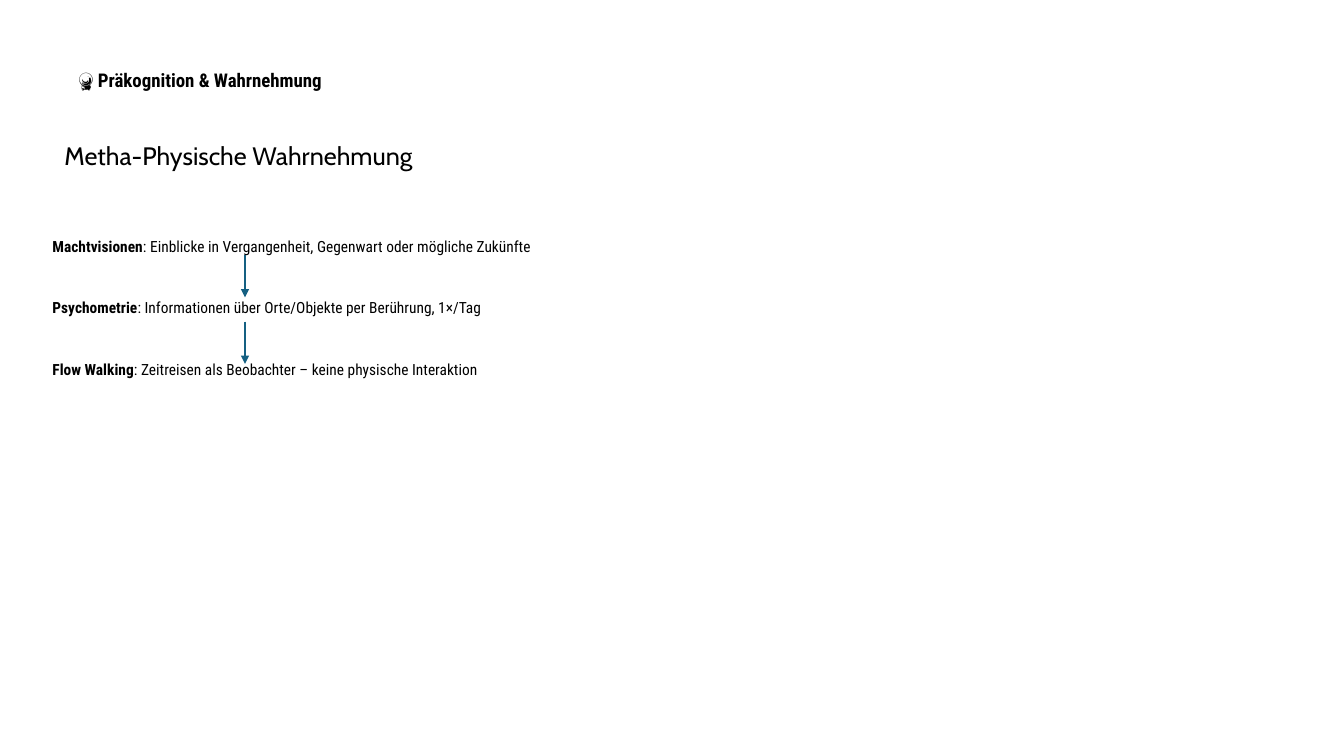
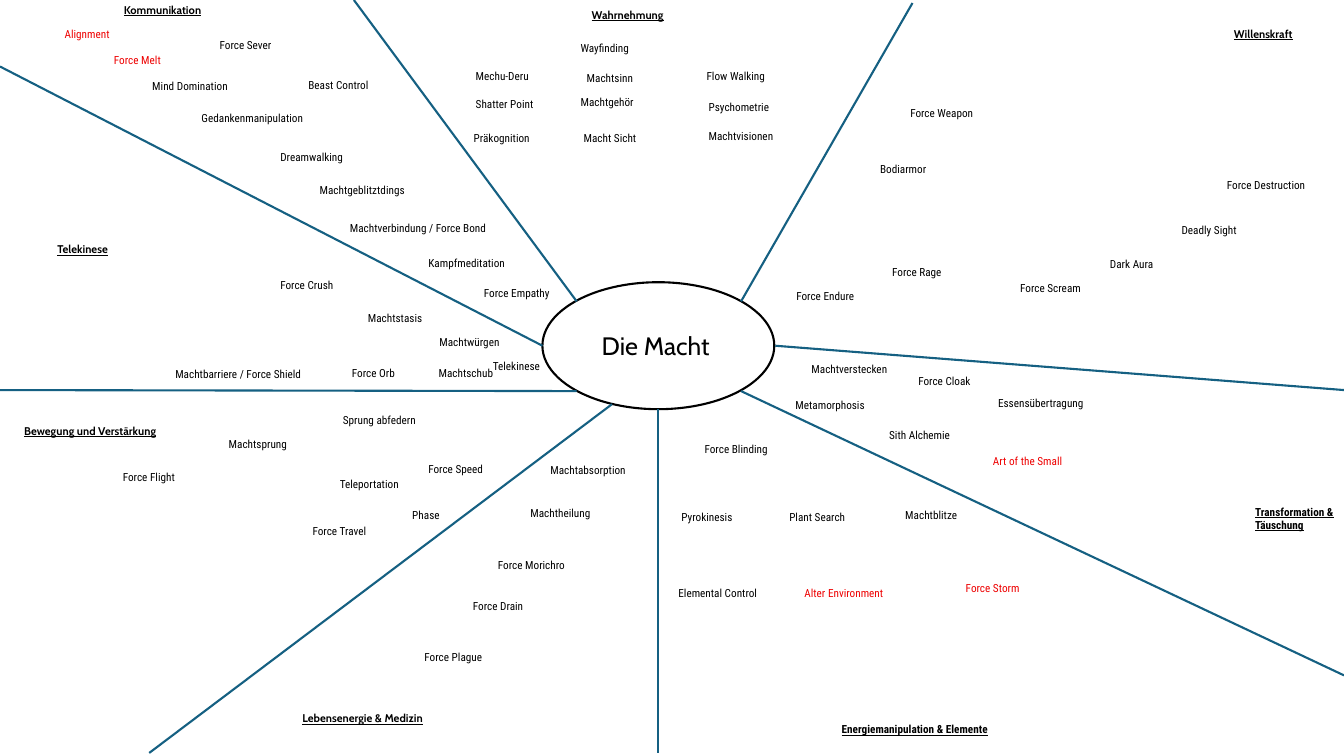
from lxml.etree import SubElement
from pptx import Presentation
from pptx.dml.color import RGBColor
from pptx.enum.shapes import MSO_CONNECTOR, MSO_SHAPE
from pptx.enum.text import MSO_ANCHOR, MSO_AUTO_SIZE
from pptx.oxml.ns import qn
from pptx.util import Emu, Pt

PX = 9144  # 100 px to the inch
COLORS = {"text": "000000", "accent": "156082", "red": "EE0000"}
NO_GRID_STYLE = "{2D5ABB26-0587-4C30-8999-92F81FD0307C}"

# Text formats
TITLE = {"name": "Cabin", "size": 18}
SECTION = {"name": "Cabin", "size": 8, "bold": True, "underline": True}
SECTION_NARROW = {**SECTION, "name": "Roboto Condensed"}
LABEL = {"name": "Roboto Condensed", "size": 8}
RED_LABEL = {**LABEL, "color": "red"}
BODY = {"name": "Roboto Condensed", "size": 11}
STRONG = {**BODY, "bold": True}
HEADING = {**STRONG, "size": 13.5}
HEADING_ICON = {**HEADING, "name": "Roboto"}

# Slide 1: powers of perception with column widths and row heights
PERCEPTION = [
    ("Machtvisionen", "Einblicke in Vergangenheit, Gegenwart oder mögliche Zukünfte", [835], [20]),
    ("Psychometrie", "Informationen über Orte/Objekte per Berührung, 1×/Tag", [158, 677], [20, 22]),
    ("Flow Walking", "Zeitreisen als Beobachter – keine physische Interaktion", [835], [20]),
]
POWER_TOP, POWER_STEP = 233, 61
ARROW_X, ARROW_TOP, ARROW_STEP, ARROW_LENGTH = 243, 253, 66, 42

# Slide 2: headings and boxes are (text, x, y, width);
# cells are (text, x, y, column widths, row heights)
SECTORS = [
    {"heading": ("Wahrnehmung", 577, 3, 260),
     "boxes": [("Präkognition", 460, 125, 176), ("Shatter Point", 462, 92, 175),
               ("Mechu-Deru", 462, 64, 107), ("Macht Sicht", 569, 125, 156),
               ("Machtgehör", 566, 90, 141), ("Machtsinn", 572, 66, 119),
               ("Wayfinding", 566, 36, 94), ("Machtvisionen", 693, 123, 173),
               ("Psychometrie", 693, 95, 103), ("Flow Walking", 691, 64, 106)]},
    {"heading": ("Kommunikation", 113, -2, 204),
     "boxes": [("Gedankenmanipulation", 190, 106, 173), ("Kampfmeditation", 415, 249, 133),
               ("Force Sever", 208, 33, 81), ("Beast Control", 296, 73, 129)],
     "cells": [("Machtverbindung / Force Bond", 327, 218, [165], [15]),
               ("Machtgeblitztdings", 297, 179, [111], [18]),
               ("Mind Domination", 131, 75, [134], [20]),
               ("Dreamwalking", 258, 145, [117], [20]),
               ("Force Empathy", 460, 280, [129], [20]),
               ("Force Melt", 93, 49, [95], [20]), ("Alignment", 44, 23, [87], [20])]},
    {"heading": ("Telekinese", 47, 236, 197),
     "boxes": [("Machtwürgen", 426, 328, 83), ("Machtbarriere / Force Shield", 164, 360, 154),
               ("Machtstasis", 355, 304, 83), ("Telekinese", 479, 352, 70)],
     "cells": [("Machtschub", 415, 360, [84], [20]), ("Force Crush", 258, 272, [95], [20]),
               ("Force Orb", 329, 362, [70], [15])]},
    {"heading": ("Bewegung und Verstärkung", 14, 416, 235),
     "boxes": [("Phase", 399, 499, 92), ("Force Flight", 112, 462, 146),
               ("Machtsprung", 217, 429, 173), ("Force Speed", 415, 454, 210)],
     "cells": [("Teleportation", 317, 470, [117], [20]), ("Force Travel", 290, 516, [90], [21]),
               ("Sprung abfedern", 320, 409, [130], [15])]},
    {"heading": ("Lebensenergie & Medizin", 290, 701, 181),
     "boxes": [("Force Morichro", 484, 549, 130), ("Machtabsorption", 536, 455, 133)],
     "cells": [("Machtheilung", 506, 501, [115, 12], [15, 21]),
               ("Force Plague", 401, 641, [107], [20]), ("Force Drain", 449, 591, [86], [20])]},
    {"heading": ("Willenskraft", 1214, 22, 151),
     "boxes": [("Force Endure", 780, 282, 87), ("Force Rage", 875, 258, 97),
               ("Bodiarmor", 863, 156, 83), ("Force Weapon", 893, 101, 110),
               ("Force Scream", 1002, 274, 110), ("Dark Aura", 1091, 250, 75),
               ("Deadly Sight", 1162, 217, 105), ("Force Destruction", 1207, 172, 136)]},
    {"heading": ("Transformation & Täuschung", 1235, 496, 99), "format": SECTION_NARROW,
     "boxes": [("Machtverstecken", 795, 355, 136), ("Force Cloak", 901, 366, 97),
               ("Essensübertragung", 980, 388, 108), ("Metamorphosis", 779, 390, 99),
               ("Sith Alchemie", 872, 420, 102), ("Art of the Small", 975, 446, 91)]},
    {"heading": ("Energiemanipulation & Elemente", 825, 712, 237), "format": SECTION_NARROW,
     "boxes": [("Force Blinding", 689, 434, 103), ("Pyrokinesis", 666, 501, 83),
               ("Elemental Control", 663, 577, 110), ("Plant Search", 773, 501, 97),
               ("Alter Environment", 788, 577, 104), ("Machtblitze", 888, 499, 108),
               ("Force Storm", 948, 572, 75)]},
]
RED_NAMES = {"Force Melt", "Alignment", "Art of the Small", "Alter Environment", "Force Storm"}
HUB = (538, 280, 230, 126)
SPOKES = [
    (572, 299, 351, 0), (735, 299, 905, 3), (538, 343, 0, 66), (572, 388, 0, 387),
    (653, 406, 653, 747), (735, 388, 1333, 670), (769, 343, 1333, 387), (607, 401, 148, 747),
]


def px(*lengths):
    return [Emu(length * PX) for length in lengths]


def rgb(name):
    return RGBColor.from_string(COLORS[name])


def write(paragraph, runs):
    for text, text_format in runs:
        run = paragraph.add_run()
        run.text = text
        values = {**text_format, "size": Pt(text_format["size"])}
        run.font.color.rgb = rgb(values.pop("color", "text"))
        for name, value in values.items():
            setattr(run.font, name, value)


def add_text(slide, text, x, y, width, text_format, height=24):
    frame = slide.shapes.add_textbox(*px(x, y, width, height)).text_frame
    frame.word_wrap = True
    frame.auto_size = MSO_AUTO_SIZE.SHAPE_TO_FIT_TEXT
    write(frame.paragraphs[0], [(text, text_format)])


def add_table(slide, runs, x, y, widths, heights, indent=15, anchor=MSO_ANCHOR.MIDDLE):
    """Add a borderless table whose first row is one merged cell of text."""
    graphic_frame = slide.shapes.add_table(
        len(heights), len(widths), *px(x, y, sum(widths), sum(heights)))
    graphic_frame._element.find(".//" + qn("a:tableStyleId")).text = NO_GRID_STYLE
    table = graphic_frame.table
    table.first_row = table.horz_banding = False
    for column, width in zip(table.columns, px(*widths)):
        column.width = width
    for row, height in zip(table.rows, px(*heights)):
        row.height = height
    lead = table.cell(0, 0)
    if len(widths) > 1:
        lead.merge(table.cell(0, len(widths) - 1))
    for cell in table.iter_cells():
        cell.fill.background()
        cell.vertical_anchor = anchor
        margins = px(5, 5, 0, 0)
        cell.margin_left, cell.margin_right, cell.margin_top, cell.margin_bottom = margins
        if cell is not lead and not cell.is_spanned and not cell.is_merge_origin:
            # Small type keeps empty cells from growing
            paragraph = cell.text_frame.paragraphs[0]
            SubElement(paragraph._p, qn("a:endParaRPr"), sz="800")
    lead.margin_left = Emu((5 + indent) * PX)
    paragraph = lead.text_frame.paragraphs[0]
    for mark in paragraph._p.findall(qn("a:endParaRPr")):
        paragraph._p.remove(mark)
    paragraph.line_spacing = 1.15
    write(paragraph, runs)


def add_line(slide, start_x, start_y, end_x, end_y, arrow=False):
    line = slide.shapes.add_connector(MSO_CONNECTOR.STRAIGHT, *px(start_x, start_y, end_x, end_y))
    line.line.color.rgb = rgb("accent")
    line.line.width = Pt(1.5)
    properties = line._element.spPr
    if arrow:
        SubElement(properties.find(qn("a:ln")), qn("a:tailEnd"), type="triangle")
    SubElement(properties, qn("a:effectLst"))


def build_perception(slide):
    add_text(slide, "Metha-Physische Wahrnehmung", 54, 134, 667, TITLE, 40)
    for index, (power, effect, widths, heights) in enumerate(PERCEPTION):
        runs = [(power, STRONG), (f": {effect}", BODY)]
        add_table(slide, runs, 32, POWER_TOP + index * POWER_STEP, widths, heights)
    heading = [("🔮", HEADING_ICON), (" Präkognition & Wahrnehmung", HEADING)]
    add_table(slide, heading, 73, 29, [67, 145, 622], [62, 21], indent=0, anchor=MSO_ANCHOR.BOTTOM)

    # Arrows from each power to the next
    for index in range(len(PERCEPTION) - 1):
        top = ARROW_TOP + index * ARROW_STEP
        add_line(slide, ARROW_X, top, ARROW_X, top + ARROW_LENGTH, arrow=True)


def build_overview(slide):
    # Hub and spokes
    add_text(slide, "Die Macht", 587, 323, 133, TITLE, 40)
    hub = slide.shapes.add_shape(MSO_SHAPE.OVAL, *px(*HUB))
    hub.shadow.inherit = False
    hub.fill.background()
    hub.line.color.rgb = rgb("text")
    hub.line.width = Pt(1.5)
    for spoke in SPOKES:
        add_line(slide, *spoke)

    # Sectors with their powers
    for sector in SECTORS:
        add_text(slide, *sector["heading"], sector.get("format", SECTION))
        for text, *place in sector["boxes"]:
            add_text(slide, text, *place, RED_LABEL if text in RED_NAMES else LABEL)
        for text, *place in sector.get("cells", []):
            add_table(slide, [(text, RED_LABEL if text in RED_NAMES else LABEL)], *place)


def main():
    presentation = Presentation()
    presentation.slide_width, presentation.slide_height = px(1333, 750)
    for build in (build_perception, build_overview):
        build(presentation.slides.add_slide(presentation.slide_layouts[6]))
    presentation.save("out.pptx")


if __name__ == "__main__":
    main()
